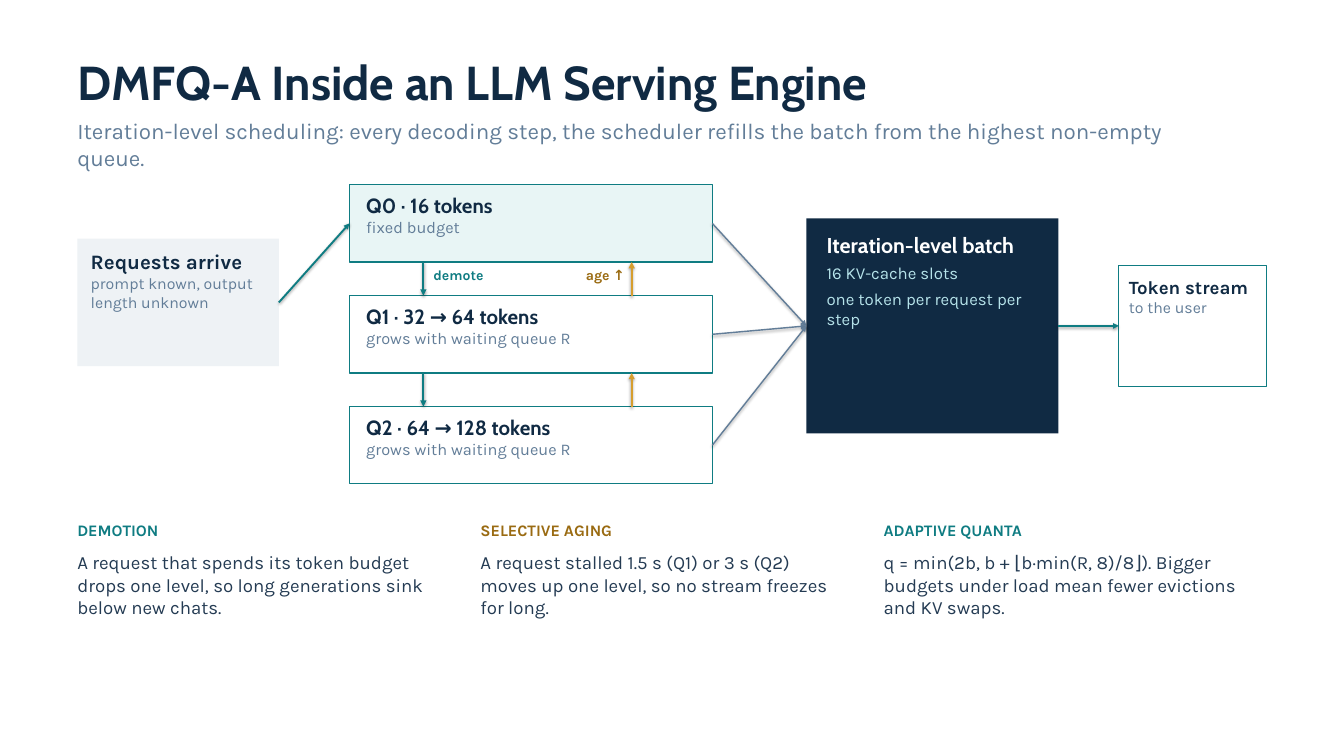
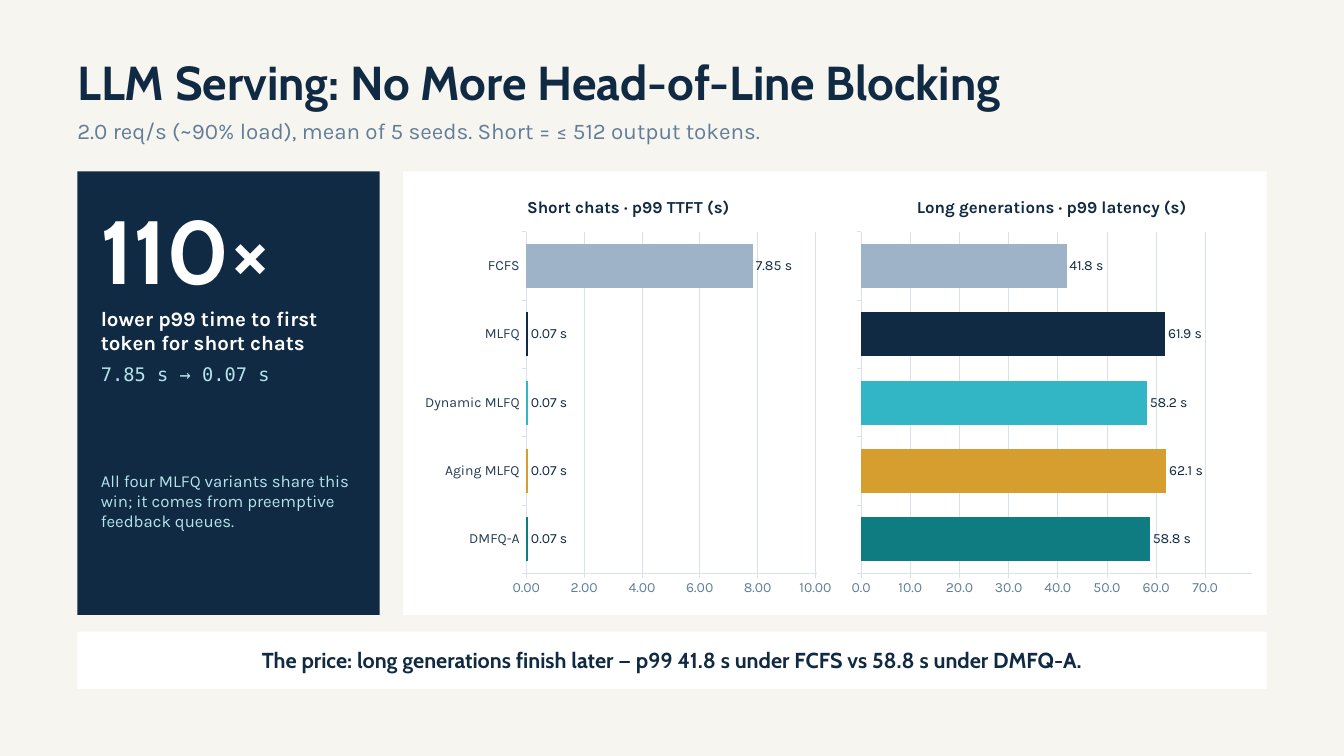
from lxml.etree import SubElement
from pptx import Presentation
from pptx.chart.data import CategoryChartData
from pptx.dml.color import RGBColor
from pptx.enum.chart import XL_CHART_TYPE, XL_LABEL_POSITION, XL_TICK_LABEL_POSITION
from pptx.enum.shapes import MSO_CONNECTOR, MSO_SHAPE
from pptx.enum.text import MSO_ANCHOR, MSO_AUTO_SIZE, PP_ALIGN
from pptx.oxml.ns import qn
from pptx.util import Inches, Pt

NAVY, TEAL, SLATE, INK = "102A43", "0F7C82", "627D98", "243B53"
GOLD, BROWN, ICE, WHITE, GRID = "D69E2E", "9A6B12", "B6E3EA", "FFFFFF", "D8E2E8"
CYAN, STEEL, MIST, MINT, CREAM = "32B6C5", "9FB3C8", "EEF2F5", "E8F5F5", "F7F5EF"
HEAD, BODY, MONO = "Cabin", "Karla", "DejaVu Sans Mono"
LEFT = 1.15
VARIANTS = {"DMFQ-A": TEAL, "Aging MLFQ": GOLD, "Dynamic MLFQ": CYAN, "MLFQ": NAVY, "FCFS": STEEL}


def color(value):
    return RGBColor.from_string(value)


def style(size, ink, name=BODY, bold=False):
    return {"size": Pt(size), "name": name, "bold": bold, "ink": ink}


def set_font(font, look):
    for key, value in look.items():
        if key == "ink":
            font.color.rgb = color(value)
        else:
            setattr(font, key, value)


class SlideBuilder:
    def __init__(self):
        self.deck = Presentation()
        self.deck.slide_width, self.deck.slide_height = Inches(20), Inches(11.25)
        self.page = None

    def new_page(self, title, subtitle, background):
        self.page = self.deck.slides.add_slide(self.deck.slide_layouts[5])
        self.page.background.fill.solid()
        self.page.background.fill.fore_color.rgb = color(background)
        heading = self.page.shapes.title
        place = {"left": LEFT, "top": 0.79, "width": 17.71, "height": 0.8}
        for key, value in place.items():
            setattr(heading, key, Inches(value))
        self.set_lines(heading.text_frame, [(title, style(51, NAVY, HEAD, True))])
        self.text(LEFT, 1.74, 17, 0.45, [(subtitle, style(24, SLATE))])

    def set_lines(self, frame, lines, align=PP_ALIGN.LEFT, anchor=MSO_ANCHOR.TOP, after=0):
        settings = {"margin_left": 0, "margin_right": 0, "margin_top": 0, "margin_bottom": 0,
                    "word_wrap": True, "auto_size": MSO_AUTO_SIZE.SHAPE_TO_FIT_TEXT,
                    "vertical_anchor": anchor}
        for key, value in settings.items():
            setattr(frame, key, value)
        for index, (words, look) in enumerate(lines):
            para = frame.add_paragraph() if index else frame.paragraphs[0]
            para.alignment = align
            if after:
                para.space_after = Pt(after)
            span = para.add_run()
            span.text = words
            set_font(span.font, look)

    def text(self, left, top, width, height, lines, **layout):
        box = self.page.shapes.add_textbox(*map(Inches, (left, top, width, height)))
        self.set_lines(box.text_frame, lines, **layout)

    def panel(self, left, top, width, height, fill, outline=None):
        box = self.page.shapes.add_shape(MSO_SHAPE.RECTANGLE, *map(Inches, (left, top, width, height)))
        box.shadow.inherit = False
        box.fill.solid()
        box.fill.fore_color.rgb = color(fill)
        if outline:
            box.line.color.rgb = color(outline)
            box.line.width = Pt(1.25)
        else:
            box.line.fill.background()

    def arrow(self, start, end, ink, width):
        link = self.page.shapes.add_connector(MSO_CONNECTOR.STRAIGHT, *map(Inches, start + end))
        link.line.color.rgb = color(ink)
        link.line.width = Pt(width)
        SubElement(link.element.spPr.find(qn("a:ln")), qn("a:tailEnd"), type="triangle")

    def bars(self, left, width, title, values, maximum, number_format, show_names):
        data = CategoryChartData()
        data.categories = list(VARIANTS)
        data.add_series(title, values)
        chart = self.page.shapes.add_chart(
            XL_CHART_TYPE.BAR_CLUSTERED, *map(Inches, (left, 2.7, width, 6.3)), data).chart
        chart.has_legend = False
        set_font(chart.font, style(15, INK))
        chart.has_title = True
        para = chart.chart_title.text_frame.paragraphs[0]
        span = para.add_run()
        span.text = title
        set_font(span.font, style(18, NAVY, bold=True))

        names, scale = chart.category_axis, chart.value_axis
        for axis, ink in ((names, INK), (scale, SLATE)):
            set_font(axis.tick_labels.font, style(15, ink))
        scale.has_major_gridlines = True
        for line in (names.format.line, scale.format.line, scale.major_gridlines.format.line):
            line.color.rgb = color(GRID)
            line.width = Pt(0.75)
        if not show_names:
            names.tick_label_position = XL_TICK_LABEL_POSITION.NONE
        scale.minimum_scale, scale.maximum_scale = 0, maximum
        scale.tick_labels.number_format = number_format
        scale.tick_labels.number_format_is_linked = False

        plot = chart.plots[0]
        plot.gap_width = 55
        plot.vary_by_categories = False
        series = plot.series[0]
        for index, ink in enumerate(VARIANTS.values()):
            fill = series.points[index].format.fill
            fill.solid()
            fill.fore_color.rgb = color(ink)
        labels = series.data_labels
        settings = {"show_value": True, "position": XL_LABEL_POSITION.OUTSIDE_END,
                    "number_format": number_format + '" s"', "number_format_is_linked": False}
        for key, value in settings.items():
            setattr(labels, key, value)
        set_font(labels.font, style(15, NAVY))


def engine_slide(builder):
    builder.new_page(
        "DMFQ-A Inside an LLM Serving Engine",
        "Iteration-level scheduling: every decoding step, the scheduler refills the batch "
        "from the highest non-empty queue.", WHITE)

    builder.panel(LEFT, 3.55, 3, 1.9, MIST)
    builder.text(1.35, 3.7, 2.6, 1.6, [
        ("Requests arrive", style(22, NAVY, bold=True)),
        ("prompt known, output length unknown", style(17, SLATE))])

    queue_left, queue_width, queue_height, queue_step = 5.2, 5.4, 1.15, 1.65
    queue_right = queue_left + queue_width
    queues = [
        ("Q0 · 16 tokens", "fixed budget", MINT),
        ("Q1 · 32 → 64 tokens", "grows with waiting queue R", WHITE),
        ("Q2 · 64 → 128 tokens", "grows with waiting queue R", WHITE)]
    tops = [2.75 + queue_step * level for level in range(len(queues))]
    for top, (name, budget, fill) in zip(tops, queues):
        builder.panel(queue_left, top, queue_width, queue_height, fill, TEAL)
        builder.text(queue_left + 0.25, top + 0.12, 5, 0.95, [
            (name, style(22, NAVY, HEAD, True)), (budget, style(17.5, SLATE))])

    builder.arrow((4.15, 4.5), (queue_left, tops[0] + queue_height / 2), TEAL, 2)
    for upper, lower in zip(tops, tops[1:]):
        bottom = upper + queue_height
        builder.arrow((6.3, bottom), (6.3, lower), TEAL, 2.25)
        builder.arrow((9.4, lower), (9.4, bottom), GOLD, 2.25)
    builder.text(6.45, 3.97, 2.5, 0.35, [("demote", style(15, TEAL, bold=True))])
    builder.text(8.1, 3.97, 1.2, 0.35, [("age ↑", style(15, BROWN, bold=True))], align=PP_ALIGN.RIGHT)

    batch_left, batch_middle = 12, 4.85
    builder.panel(batch_left, 3.25, 3.75, 3.2, NAVY)
    builder.text(12.3, 3.45, 3.2, 2.9, [
        ("Iteration-level batch", style(23, WHITE, HEAD, True)),
        ("16 KV-cache slots", style(18, ICE)),
        ("one token per request per step", style(18, ICE))], after=6)
    for top in tops:
        builder.arrow((queue_right, top + queue_height / 2), (batch_left, batch_middle), SLATE, 1.5)

    builder.panel(16.65, 3.95, 2.2, 1.8, WHITE, TEAL)
    builder.text(16.8, 4.1, 1.9, 1.5, [
        ("Token stream", style(20, NAVY, bold=True)), ("to the user", style(17, SLATE))])
    builder.arrow((15.75, batch_middle), (16.65, batch_middle), TEAL, 2)

    mechanisms = [
        ("DEMOTION", TEAL, "A request that spends its token budget drops one level, "
         "so long generations sink below new chats."),
        ("SELECTIVE AGING", BROWN, "A request stalled 1.5 s (Q1) or 3 s (Q2) moves up one level, "
         "so no stream freezes for long."),
        ("ADAPTIVE QUANTA", TEAL, "q = min(2b, b + ⌊b·min(R, 8)/8⌋). Bigger budgets under load "
         "mean fewer evictions and KV swaps.")]
    for column, (name, ink, detail) in enumerate(mechanisms):
        left = LEFT + 6 * column
        builder.text(left, 7.75, 5.5, 0.33, [(name, style(17.2, ink, bold=True))])
        builder.text(left, 8.2, 5.5, 1.6, [(detail, style(20, INK))])


def results_slide(builder):
    builder.new_page(
        "LLM Serving: No More Head-of-Line Blocking",
        "2.0 req/s (~90% load), mean of 5 seeds. Short = ≤ 512 output tokens.", CREAM)

    builder.panel(LEFT, 2.55, 4.5, 6.6, NAVY)
    builder.text(1.5, 2.9, 3.9, 1.6, [("110×", style(96, WHITE, HEAD, True))])
    builder.text(1.5, 4.55, 3.9, 2.2, [
        ("lower p99 time to first token for short chats", style(22, WHITE, bold=True)),
        ("7.85 s → 0.07 s", style(20, ICE, MONO))], after=8)
    builder.text(1.5, 7, 3.9, 2, [
        ("All four MLFQ variants share this win; it comes from preemptive feedback queues.",
         style(18, ICE))])

    builder.panel(6, 2.55, 12.85, 6.6, WHITE)
    builder.bars(6.2, 6.3, "Short chats · p99 TTFT (s)",
                 (0.07, 0.07, 0.07, 0.07, 7.85), 10.05, "0.00", True)
    builder.bars(12.55, 6.2, "Long generations · p99 latency (s)",
                 (58.8, 62.1, 58.2, 61.9, 41.8), 79.45, "0.0", False)

    builder.panel(LEFT, 9.4, 17.7, 0.85, WHITE)
    builder.text(1.55, 9.4, 16.9, 0.85, [
        ("The price: long generations finish later — p99 41.8 s under FCFS vs 58.8 s under DMFQ-A.",
         style(23.2, NAVY, HEAD, True))], align=PP_ALIGN.CENTER, anchor=MSO_ANCHOR.MIDDLE)


def main():
    builder = SlideBuilder()
    engine_slide(builder)
    results_slide(builder)
    builder.deck.save("out.pptx")


if __name__ == "__main__":
    main()
